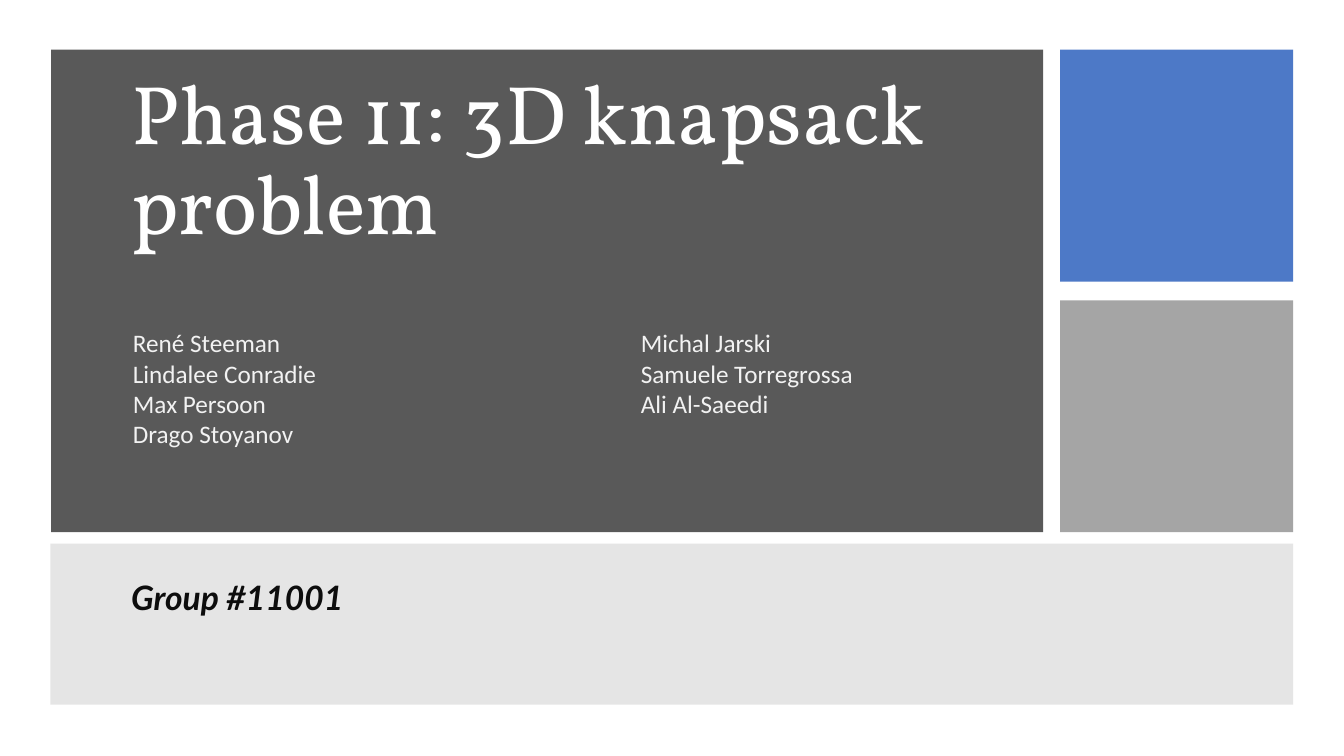
from dataclasses import dataclass

from lxml.etree import SubElement
from pptx import Presentation
from pptx.dml.color import RGBColor
from pptx.enum.shapes import MSO_SHAPE
from pptx.enum.text import MSO_ANCHOR, MSO_AUTO_SIZE, PP_ALIGN
from pptx.oxml.ns import qn
from pptx.util import Cm, Pt


@dataclass(frozen=True)
class Theme:
    """Colours, fonts and type sizes of the slide."""
    dark: str = "595959"
    blue: str = "4472C4"
    grey: str = "A5A5A5"
    band: str = "7F7F7F"
    white: str = "FFFFFF"
    pale: str = "F2F2F2"
    ink: str = "0D0D0D"
    title_font: str = "Vollkorn"
    group_font: str = "Lato"
    names_font: str = "Calibri"
    title_size: float = 59.4
    group_size: float = 24
    names_size: float = 18


THEME = Theme()
MEMBERS = [
    ("René Steeman", "Michal Jarski"),
    ("Lindalee Conradie", "Samuele Torregrossa"),
    ("Max Persoon", "Ali Al-Saeedi"),
    ("Drago Stoyanov",),
]


def add_panel(page, left, top, width, height, color, opacity=100):
    """Add a borderless rectangle with an optional opacity in percent."""
    panel = page.shapes.add_shape(
        MSO_SHAPE.RECTANGLE, Cm(left), Cm(top), Cm(width), Cm(height))
    panel.shadow.inherit = False
    panel.line.fill.background()
    panel.fill.solid()
    panel.fill.fore_color.rgb = RGBColor.from_string(color)
    if opacity < 100:
        tone = panel.element.spPr.find(f".//{qn('a:srgbClr')}")
        SubElement(tone, qn("a:alpha"), val=str(opacity * 1000))


def write_text(para, text, *, font, size, color, bold=False, italic=False, spacing=1.0):
    """Write one left-aligned, formatted run into a paragraph."""
    para.alignment = PP_ALIGN.LEFT
    para.line_spacing = spacing
    para.space_before = Pt(0)
    span = para.add_run()
    span.text = text
    span.font.name = font
    span.font.size = Pt(size)
    span.font.bold = bold
    span.font.italic = italic
    span.font.color.rgb = RGBColor.from_string(color)


def set_tab(para, position):
    """Give a paragraph one left tab stop."""
    tabs = SubElement(para._p.get_or_add_pPr(), qn("a:tabLst"))
    SubElement(tabs, qn("a:tab"), pos=str(Cm(position)), algn="l")


def place_placeholder(box, left, top, width, height, bottom_inset):
    """Move a placeholder in front of the panels and return its first paragraph."""
    box.left, box.top, box.width, box.height = Cm(left), Cm(top), Cm(width), Cm(height)
    box.element.getparent().append(box.element)
    frame = box.text_frame
    frame.word_wrap = True
    frame.auto_size = MSO_AUTO_SIZE.NONE
    frame.vertical_anchor = MSO_ANCHOR.MIDDLE
    frame.margin_bottom = Cm(bottom_inset)
    return frame.paragraphs[0]


def add_names(page, left, top, width, height, rows, column):
    """Add rows of names, the second column starting at a tab stop."""
    frame = page.shapes.add_textbox(Cm(left), Cm(top), Cm(width), Cm(height)).text_frame
    frame.word_wrap = True
    for index, row in enumerate(rows):
        para = frame.add_paragraph() if index else frame.paragraphs[0]
        set_tab(para, column)
        write_text(para, "\t".join(row), font=THEME.names_font,
                   size=THEME.names_size, color=THEME.pale)


def main():
    """Build the title slide and save it."""
    deck = Presentation()
    deck.slide_width, deck.slide_height = Cm(33.87), Cm(19.05)
    page = deck.slides.add_slide(deck.slide_layouts[0])

    add_panel(page, 1.29, 1.25, 25, 12.16, THEME.dark)
    add_panel(page, 26.72, 1.25, 5.87, 5.85, THEME.blue, opacity=95)
    add_panel(page, 1.27, 13.7, 31.32, 4.06, THEME.band, opacity=20)
    add_panel(page, 26.72, 7.57, 5.87, 5.84, THEME.grey)

    title = place_placeholder(page.shapes.title, 3.05, 2.87, 21.49, 4.72, bottom_inset=2.4)
    write_text(title, "Phase 11: 3D knapsack problem", font=THEME.title_font,
               size=THEME.title_size, color=THEME.white, spacing=0.9)
    group = place_placeholder(page.placeholders[1], 3.05, 14.4, 27.81, 2.67, bottom_inset=1.4)
    write_text(group, "Group #11001", font=THEME.group_font, size=THEME.group_size,
               color=THEME.ink, bold=True, italic=True, spacing=0.9)
    add_names(page, 3.1, 8.13, 22.15, 3.33, MEMBERS, column=12.8)

    deck.save("out.pptx")


if __name__ == "__main__":
    main()
